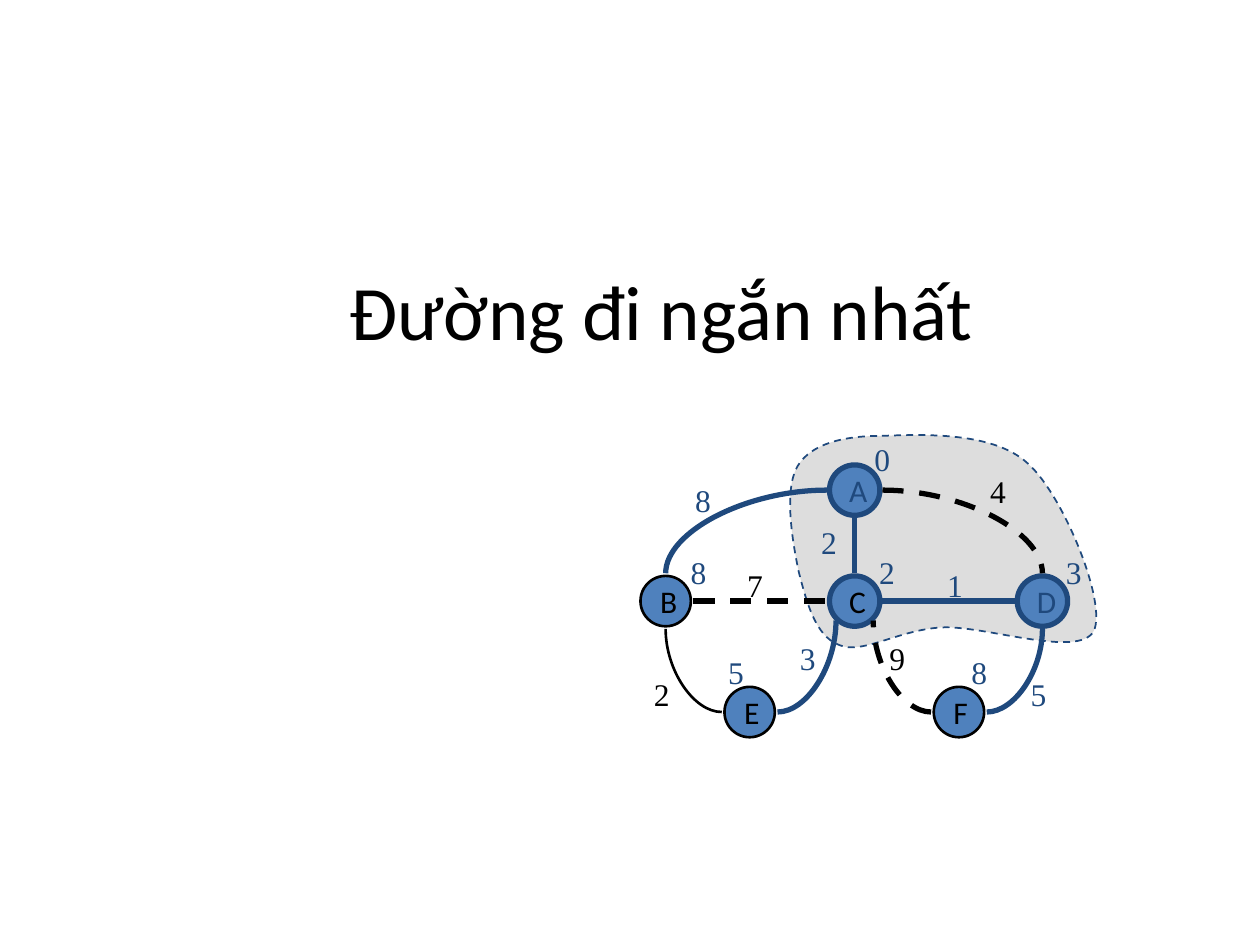
from dataclasses import dataclass

from pptx import Presentation
from pptx.dml.color import RGBColor
from pptx.enum.dml import MSO_LINE
from pptx.enum.shapes import MSO_CONNECTOR, MSO_SHAPE
from pptx.enum.text import MSO_ANCHOR, MSO_AUTO_SIZE, PP_ALIGN
from pptx.oxml import parse_xml
from pptx.oxml.ns import nsdecls, qn
from pptx.oxml.xmlchemy import OxmlElement
from pptx.util import Pt


@dataclass(frozen=True)
class Theme:
    ink: RGBColor = RGBColor(0x00, 0x00, 0x00)
    navy: RGBColor = RGBColor(0x1F, 0x49, 0x7D)
    node: RGBColor = RGBColor(0x4F, 0x81, 0xBD)
    cloud: RGBColor = RGBColor(0xDD, 0xDD, 0xDD)
    text_font: str = "Calibri"
    number_font: str = "Times New Roman"
    title_size: int = 44
    label_size: int = 18
    thick: float = 3
    thin: float = 1.5
    hairline: float = 1


THEME = Theme()
INK, NAVY = THEME.ink, THEME.navy

DIAMETER = 28.8
REACH = DIAMETER / 2 + THEME.thin
ROWS = [34.1 + 63.4 * row for row in range(3)]

# name: (centre x, row, text colour, outline colour, distance, distance offset)
NODES = {
    "C": (122.4, 1, INK, NAVY, "2", (6.8, -31)),
    "B": (14.4, 1, INK, INK, "8", (7.2, -31)),
    "A": (122.4, 0, NAVY, NAVY, "0", (4.1, -32.4)),
    "E": (62.4, 2, INK, INK, "5", (-19.4, -37.4)),
    "D": (229.7, 1, NAVY, NAVY, "3", (6.3, -31)),
    "F": (182, 2, INK, INK, "8", (0, -37.4)),
}

LEFT, RIGHT, TOP, BOTTOM = (-1, 0), (1, 0), (0, -1), (0, 1)
LOWER_LEFT, LOWER_RIGHT = (-0.67, 0.7), (0.67, 0.7)

# start, its side, end, its side, colour, width, dashed, weight, weight position
EDGES = [
    ("A", LEFT, "B", TOP, NAVY, THEME.thick, False, "8", (24.2, 25.4)),
    ("E", LEFT, "B", BOTTOM, INK, THEME.thin, False, "2", (0.5, 136.3)),
    ("E", RIGHT, "C", LOWER_LEFT, NAVY, THEME.thick, False, "3", (84, 115.4)),
    ("A", BOTTOM, "C", TOP, NAVY, THEME.thick, False, "2", (96.2, 49.2)),
    ("B", RIGHT, "C", LEFT, INK, THEME.thick, True, "7", (53.8, 73.7)),
    ("F", RIGHT, "D", BOTTOM, NAVY, THEME.thick, False, "5", (215.8, 136.3)),
    ("A", RIGHT, "D", TOP, INK, THEME.thick, True, "4", (192.7, 20.4)),
    ("C", RIGHT, "D", LEFT, NAVY, THEME.thick, False, "1", (168.2, 73.7)),
    ("F", LEFT, "C", LOWER_RIGHT, INK, THEME.thick, True, "9", (135.1, 115.4)),
]

# Start point, then two control points and an end point for each curve
CLOUD = [
    (138, 3.1),
    (159.6, 2.4), (201.4, 0.2), (221.5, 19),
    (241.7, 37), (266.9, 98.9), (259, 114.7),
    (250.3, 130.6), (196.3, 111.1), (171.8, 112.6),
    (147.4, 114), (126.5, 128.4), (113.5, 122.6),
    (99.8, 117.6), (94.8, 97.4), (90.5, 80.9),
    (86.9, 63.6), (81.8, 34.1), (89.8, 20.4),
    (97.7, 7.4), (116.4, 3.1), (138, 3.1),
]


def set_line(line, color, width, dashed=False):
    line.color.rgb = color
    line.width = Pt(width)
    if dashed:
        line.dash_style = MSO_LINE.DASH


def set_text(frame, text, font, size, color, align):
    frame.text = text
    para = frame.paragraphs[0]
    para.alignment = align
    para.font.name = font
    para.font.size = Pt(size)
    para.font.color.rgb = color


def add_title(page, left, top, width, height):
    title = page.shapes.title
    title.left, title.top = Pt(left), Pt(top)
    title.width, title.height = Pt(width), Pt(height)
    title.text_frame.vertical_anchor = MSO_ANCHOR.MIDDLE
    set_text(title.text_frame, "Đường đi ngắn nhất", THEME.text_font,
             THEME.title_size, INK, PP_ALIGN.CENTER)


def add_cloud(page, left, top):
    points = [(Pt(left + x), Pt(top + y)) for x, y in CLOUD]
    builder = page.shapes.build_freeform(*points[0])
    builder.add_line_segments(points[1:], close=True)
    cloud = builder.convert_to_shape()
    cloud.shadow.inherit = False
    cloud.fill.solid()
    cloud.fill.fore_color.rgb = THEME.cloud
    set_line(cloud.line, NAVY, THEME.hairline, dashed=True)

    # Turn every three straight segments into one Bézier curve
    outline = next(cloud._element.iter(qn("a:path")))
    segments = outline.findall(qn("a:lnTo"))[:len(CLOUD) - 1]
    for first in range(0, len(segments), 3):
        curve = OxmlElement("a:cubicBezTo")
        segments[first].addprevious(curve)
        for segment in segments[first:first + 3]:
            curve.append(segment[0])
            outline.remove(segment)


def add_node(page, left, top, name):
    x, row, text_color, outline_color, *_ = NODES[name]
    node = page.shapes.add_shape(
        MSO_SHAPE.OVAL, Pt(left + x - DIAMETER / 2),
        Pt(top + ROWS[row] - DIAMETER / 2), Pt(DIAMETER), Pt(DIAMETER))
    node.shadow.inherit = False
    node.fill.solid()
    node.fill.fore_color.rgb = THEME.node
    width = THEME.thick if outline_color == NAVY else THEME.thin
    set_line(node.line, outline_color, width)
    node.text_frame.word_wrap = False
    node.text_frame.vertical_anchor = MSO_ANCHOR.MIDDLE
    set_text(node.text_frame, name, THEME.text_font, THEME.label_size,
             text_color, PP_ALIGN.LEFT)


def add_edge(page, left, top, edge):
    start, start_side, end, end_side, color, width, dashed, *_ = edge

    def port(name, side):
        x, row, *_ = NODES[name]
        return (Pt(left + x + side[0] * REACH),
                Pt(top + ROWS[row] + side[1] * REACH))

    begin, finish = port(start, start_side), port(end, end_side)
    straight = begin[0] == finish[0] or begin[1] == finish[1]
    kind = MSO_CONNECTOR.STRAIGHT if straight else MSO_CONNECTOR.CURVE
    connector = page.shapes.add_connector(kind, *begin, *finish)
    properties = connector._element.spPr
    if not straight:
        # A quarter curve: leaves sideways, arrives vertically
        properties.find(qn("a:prstGeom")).set("prst", "curvedConnector2")
    set_line(connector.line, color, width, dashed)
    properties.append(parse_xml(f"<a:effectLst {nsdecls('a')}/>"))


def add_number(page, left, top, text, color):
    box = page.shapes.add_textbox(Pt(left), Pt(top), Pt(23), Pt(28.8))
    box.text_frame.word_wrap = False
    box.text_frame.auto_size = MSO_AUTO_SIZE.SHAPE_TO_FIT_TEXT
    set_text(box.text_frame, text, THEME.number_font, THEME.label_size,
             color, PP_ALIGN.LEFT)


def add_graph(page, left, top):
    add_cloud(page, left, top)
    for name in NODES:
        add_node(page, left, top, name)
    for edge in EDGES:
        add_edge(page, left, top, edge)
    # Distances beside the nodes
    for x, row, _, _, distance, (dx, dy) in NODES.values():
        add_number(page, left + x + dx, top + ROWS[row] + dy, distance, NAVY)
    # Weights beside the edges
    for *_, color, _, _, weight, (x, y) in EDGES:
        add_number(page, left + x, top + y, weight, color)


def main():
    deck = Presentation()
    deck.slide_width, deck.slide_height = Pt(720), Pt(540)
    page = deck.slides.add_slide(deck.slide_layouts[5])
    add_title(page, 72, 132, 612, 90)
    add_graph(page, 366, 246)
    deck.save("out.pptx")


if __name__ == "__main__":
    main()
